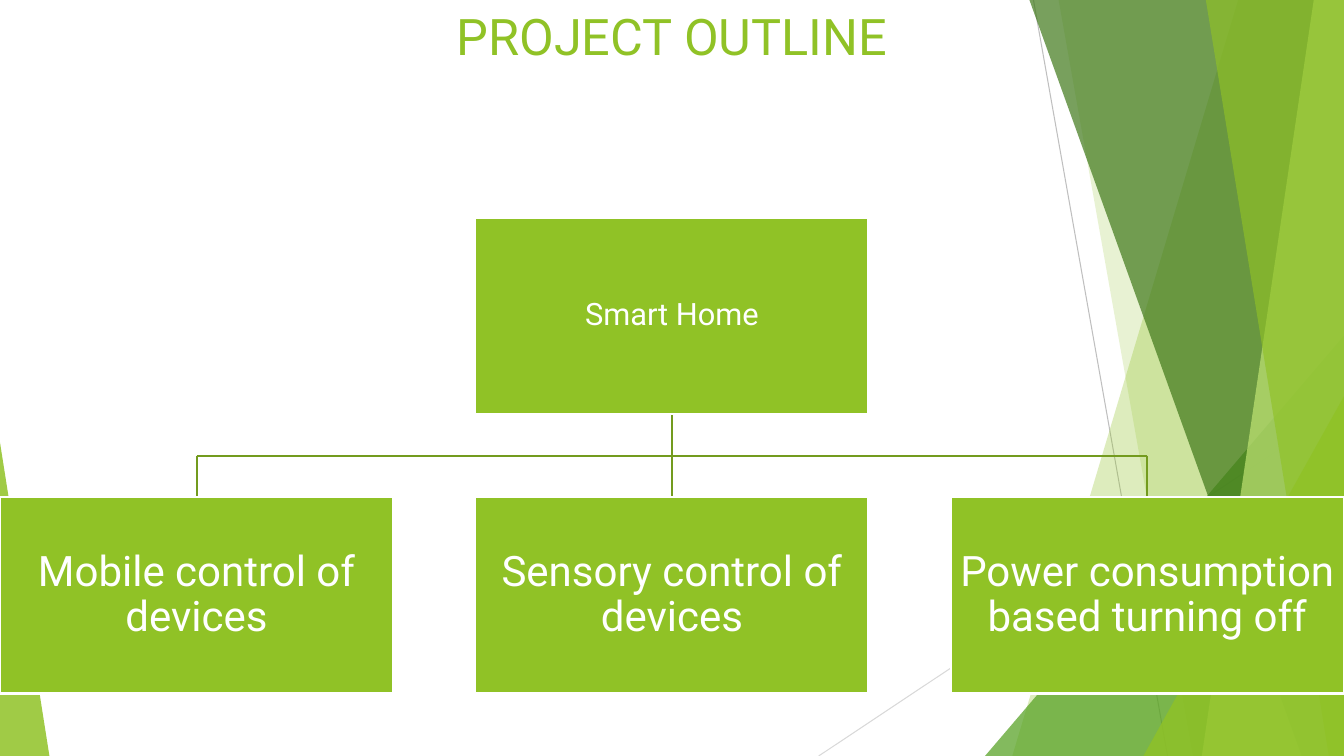
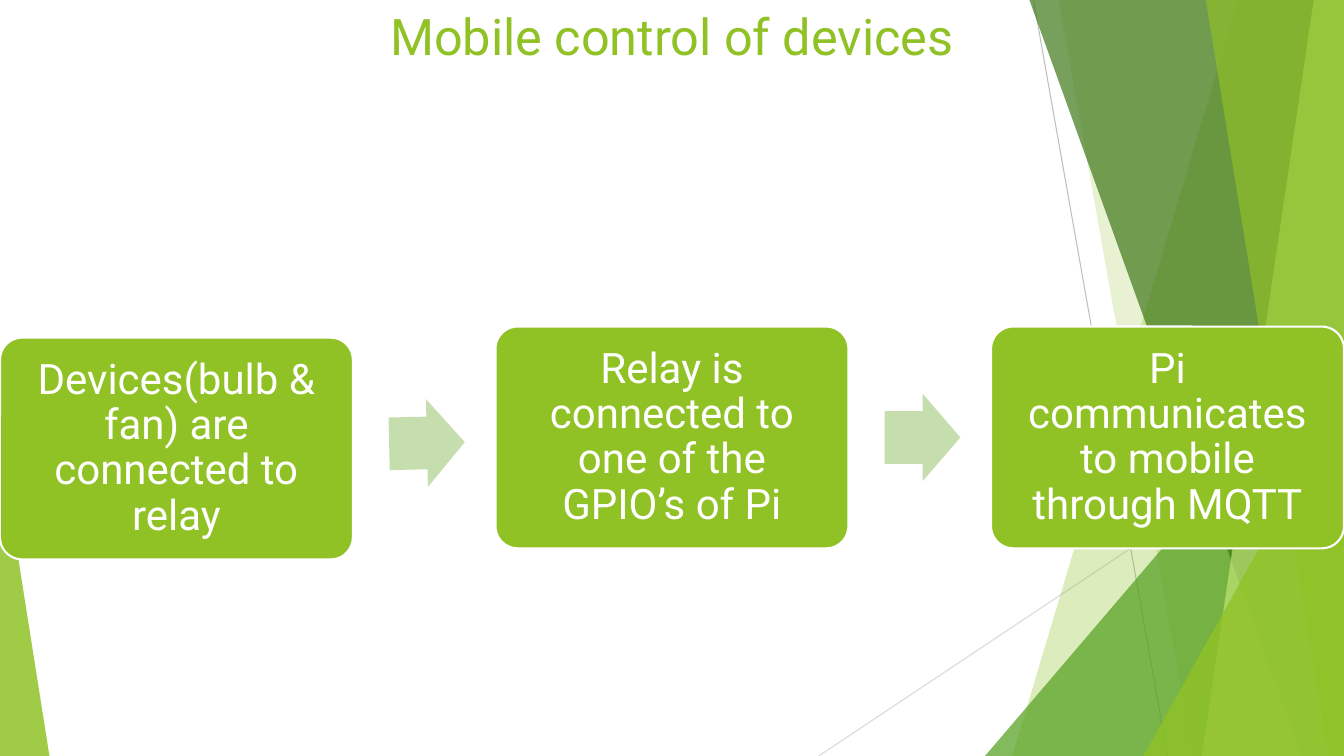
import math

import lxml.etree
import pptx
import pptx.dml.color
import pptx.enum.shapes
import pptx.enum.text
import pptx.oxml.ns
import pptx.util

Inches = pptx.util.Inches
Pt = pptx.util.Pt
RGBColor = pptx.dml.color.RGBColor
SHAPE = pptx.enum.shapes.MSO_SHAPE
ANCHOR = pptx.enum.text.MSO_ANCHOR
qn = pptx.oxml.ns.qn

GREEN = RGBColor(0x90, 0xC2, 0x26)
LEAF_GREEN = RGBColor(0x54, 0xA0, 0x21)
DARK_GREEN = RGBColor(0x3F, 0x78, 0x19)
LIGHT_GREEN = RGBColor(0xC0, 0xE4, 0x74)
LINE_GREEN = RGBColor(0x73, 0x9B, 0x1E)
ARROW_GREEN = RGBColor(0xC6, 0xDD, 0xAD)
GREY = RGBColor(0xBF, 0xBF, 0xBF)
LIGHT_GREY = RGBColor(0xD9, 0xD9, 0xD9)
WHITE = RGBColor(0xFF, 0xFF, 0xFF)

FONT = "Roboto"
TITLE_SIZE, ROOT_SIZE, BOX_SIZE = 36, 22, 30
SLIDE_WIDTH, SLIDE_HEIGHT = 13.33, 7.5

OUTLINE_TITLE = "PROJECT OUTLINE"
OUTLINE_ROOT = "Smart Home"
OUTLINE_BRANCHES = [
    "Mobile control of devices",
    "Sensory control of devices",
    "Power consumption based turning off",
]

MOBILE_TITLE = "Mobile control of devices"
# Step text and top of its box
MOBILE_STEPS = [
    ("Devices(bulb & fan) are connected to relay", 3.35),
    ("Relay is connected to one of the GPIO’s of Pi", 3.24),
    ("Pi communicates to mobile through MQTT", 3.24),
]

# Begin, end, colour
BACKGROUND_LINES = [
    ((10.25, 0), (11.58, SLIDE_HEIGHT), GREY),
    ((SLIDE_WIDTH, 4.03), (8.12, SLIDE_HEIGHT), LIGHT_GREY),
]
# Bands run to the right edge: kind, left edge at top, left edge at bottom, colour, opacity
# Triangles stand on the bottom edge: kind, left, width, height, apex, colour, opacity
BACKGROUND_FACETS = [
    ("band", 12.28, 10.04, GREEN, 30),
    ("band", 10.5, 11.83, GREEN, 20),
    ("triangle", 9.77, 3.56, 4.17, 1, LEAF_GREEN, 72),
    ("band", 10.21, 12.91, DARK_GREEN, 70),
    ("band", 13.03, 11.92, LIGHT_GREEN, 70),
    ("band", 11.96, 13.18, GREEN, 65),
    ("triangle", 11.34, 1.99, 3.57, 1, GREEN, 80),
    ("triangle", 0, 0.49, 3.11, 0, GREEN, 85),
]


def fill_shape(shape, colour, opacity=100):
    shape.shadow.inherit = False
    shape.line.fill.background()
    shape.fill.solid()
    shape.fill.fore_color.rgb = colour
    if opacity < 100:
        colour_element = shape.element.spPr.find(".//" + qn("a:srgbClr"))
        alpha = lxml.etree.SubElement(colour_element, qn("a:alpha"))
        alpha.set("val", str(opacity * 1000))


def add_line(slide, begin, end, colour, width):
    line = slide.shapes.add_connector(
        pptx.enum.shapes.MSO_CONNECTOR.STRAIGHT,
        *(Inches(value) for value in (*begin, *end)))
    line.line.color.rgb = colour
    line.line.width = Pt(width)
    lxml.etree.SubElement(line.element.spPr, qn("a:effectLst"))


def add_preset(slide, preset, left, top, width, height, adjustments=()):
    shape = slide.shapes.add_shape(
        preset, *(Inches(value) for value in (left, top, width, height)))
    for index, value in enumerate(adjustments):
        shape.adjustments[index] = value
    return shape


def add_band(slide, top_left, bottom_left):
    corners = [(SLIDE_WIDTH, 0), (SLIDE_WIDTH, SLIDE_HEIGHT), (bottom_left, SLIDE_HEIGHT)]
    builder = slide.shapes.build_freeform(Inches(top_left), Inches(0))
    builder.add_line_segments([(Inches(x), Inches(y)) for x, y in corners], close=True)
    return builder.convert_to_shape()


def add_triangle(slide, left, width, height, apex):
    return add_preset(slide, SHAPE.ISOSCELES_TRIANGLE, left, SLIDE_HEIGHT - height,
                      width, height, [apex])


def write_centred(shape, text, size, colour, anchor):
    frame = shape.text_frame
    frame.word_wrap = True
    frame.vertical_anchor = anchor
    paragraph = frame.paragraphs[0]
    paragraph.alignment = pptx.enum.text.PP_ALIGN.CENTER
    run = paragraph.add_run()
    run.text = text
    run.font.name = FONT
    run.font.size = Pt(size)
    run.font.color.rgb = colour
    return paragraph


def add_box(slide, preset, position, size, text, text_size, margin, adjustments=()):
    box = add_preset(slide, preset, *position, *size, adjustments)
    fill_shape(box, GREEN)
    box.line.color.rgb = WHITE
    box.line.width = Pt(1.5)
    frame = box.text_frame
    frame.margin_left = frame.margin_right = Inches(margin)
    frame.margin_top = frame.margin_bottom = Inches(margin)
    paragraph = write_centred(box, text, text_size, WHITE, ANCHOR.MIDDLE)
    paragraph.line_spacing = 0.9


def add_titled_slide(presentation, title):
    """Add a slide with the shared faceted background and a centred title."""
    slide = presentation.slides.add_slide(presentation.slide_layouts[6])
    for begin, end, colour in BACKGROUND_LINES:
        add_line(slide, begin, end, colour, 0.75)
    add_facet = {"band": add_band, "triangle": add_triangle}
    for kind, *geometry, colour, opacity in BACKGROUND_FACETS:
        fill_shape(add_facet[kind](slide, *geometry), colour, opacity)
    title_box = slide.shapes.add_textbox(0, 0, Inches(SLIDE_WIDTH), Inches(1.1))
    write_centred(title_box, title, TITLE_SIZE, GREEN, ANCHOR.TOP)
    return slide


def add_outline_slide(presentation):
    slide = add_titled_slide(presentation, OUTLINE_TITLE)
    width, height = size = (3.9, 1.95)
    root_top, branch_top = 2.16, 4.93
    root_bottom = root_top + height
    bus_y = (root_bottom + branch_top) / 2
    pitch = (SLIDE_WIDTH - width) / (len(OUTLINE_BRANCHES) - 1)
    lefts = [index * pitch for index in range(len(OUTLINE_BRANCHES))]
    centres = [left + width / 2 for left in lefts]
    middle = SLIDE_WIDTH / 2

    segments = [((middle, root_bottom), (middle, bus_y)),
                ((centres[0], bus_y), (centres[-1], bus_y))]
    segments += [((x, bus_y), (x, branch_top)) for x in centres]
    for begin, end in segments:
        add_line(slide, begin, end, LINE_GREEN, 1.5)

    add_box(slide, SHAPE.RECTANGLE, (middle - width / 2, root_top), size,
            OUTLINE_ROOT, ROOT_SIZE, 0.02)
    for left, text in zip(lefts, OUTLINE_BRANCHES):
        add_box(slide, SHAPE.RECTANGLE, (left, branch_top), size, text, BOX_SIZE, 0.02)


def add_mobile_slide(presentation):
    slide = add_titled_slide(presentation, MOBILE_TITLE)
    width, height = size = (3.5, 2.2)
    arrow_width, arrow_height, arrow_gap = 0.75, 0.87, 0.36
    pitch = (SLIDE_WIDTH - width) / (len(MOBILE_STEPS) - 1)

    for index, (text, top) in enumerate(MOBILE_STEPS):
        add_box(slide, SHAPE.ROUNDED_RECTANGLE, (index * pitch, top), size,
                text, BOX_SIZE, 0.12, [0.1])

    tops = [top for text, top in MOBILE_STEPS]
    for index, (top, next_top) in enumerate(zip(tops, tops[1:])):
        arrow_middle = (top + next_top + height) / 2
        arrow = add_preset(slide, SHAPE.RIGHT_ARROW, index * pitch + width + arrow_gap,
                           arrow_middle - arrow_height / 2,
                           arrow_width, arrow_height, [0.6, 0.5])
        arrow.rotation = math.degrees(math.atan2(next_top - top, pitch))
        fill_shape(arrow, ARROW_GREEN)


def main():
    presentation = pptx.Presentation()
    presentation.slide_width = Inches(SLIDE_WIDTH)
    presentation.slide_height = Inches(SLIDE_HEIGHT)
    add_outline_slide(presentation)
    add_mobile_slide(presentation)
    presentation.save("out.pptx")


if __name__ == "__main__":
    main()
